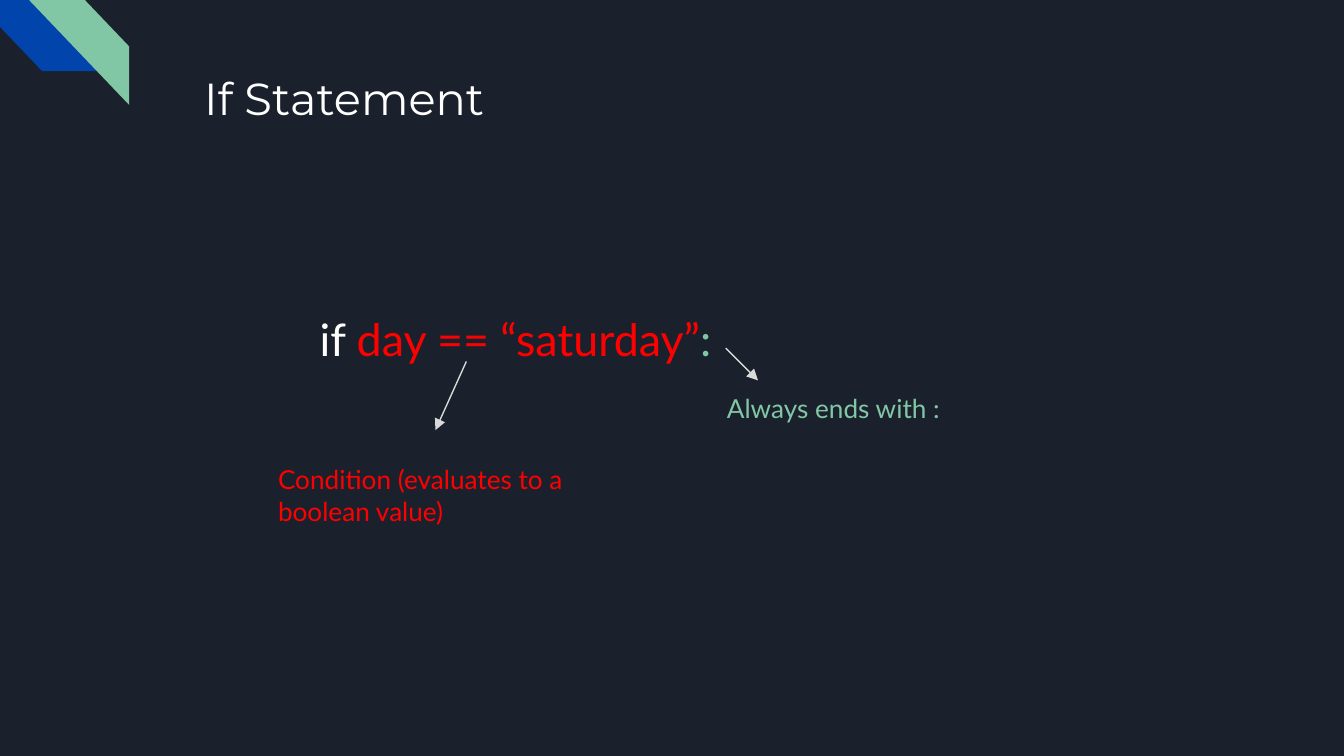
from lxml import etree
from pptx import Presentation
from pptx.dml.color import RGBColor
from pptx.enum import shapes, text
from pptx.oxml import ns
from pptx.util import Inches, Pt

NAVY = RGBColor(0x1B, 0x21, 0x2C)
BLUE = RGBColor(0x01, 0x45, 0xAC)
GREEN = RGBColor(0x82, 0xC7, 0xA5)
RED = RGBColor(0xFF, 0x00, 0x00)
WHITE = RGBColor(0xFF, 0xFF, 0xFF)
GRAY = RGBColor(0xD9, 0xD9, 0xD9)

presentation = Presentation()
presentation.slide_width = Inches(10)
presentation.slide_height = Inches(10 * 9 / 16)
slide = presentation.slides.add_slide(presentation.slide_layouts[6])
slide.background.fill.solid()
slide.background.fill.fore_color.rgb = NAVY

# Corner stripes
for left, top, rotation, color in [(-0.12, -0.32, 270, BLUE), (0.11, -0.07, 90, GREEN)]:
    stripe = slide.shapes.add_shape(
        shapes.MSO_SHAPE.DIAGONAL_STRIPE,
        Inches(left), Inches(top), Inches(0.87), Inches(0.83))
    stripe.rotation = rotation
    stripe.shadow.inherit = False
    stripe.fill.solid()
    stripe.fill.fore_color.rgb = color
    stripe.line.fill.background()

# Title, code line and notes: left, top, width, height, font, size, runs
text_boxes = [
    (1.42, 0.43, 7.7, 1, "Montserrat", 24, [("If Statement", WHITE)]),
    (2.28, 2.22, 3.62, 0.61, "Lato", 24,
     [("if ", WHITE), ("day == “saturday”", RED), (":", GREEN)]),
    (5.31, 2.82, 2.72, 0.44, "Lato", 14, [("Always ends with :", GREEN)]),
    (1.97, 3.35, 2.35, 0.67, "Lato", 14,
     [("Condition (evaluates to a boolean value)", RED)]),
]
for left, top, width, height, font_name, size, runs in text_boxes:
    box = slide.shapes.add_textbox(Inches(left), Inches(top), Inches(width), Inches(height))
    frame = box.text_frame
    frame.word_wrap = True
    frame.vertical_anchor = text.MSO_ANCHOR.TOP
    frame.margin_left = frame.margin_right = Inches(0.1)
    frame.margin_top = frame.margin_bottom = Inches(0.1)
    paragraph = frame.paragraphs[0]
    for words, color in runs:
        run = paragraph.add_run()
        run.text = words
        run.font.name = font_name
        run.font.size = Pt(size)
        run.font.color.rgb = color

# Arrows from the code line to its notes
for start_x, start_y, end_x, end_y in [(5.4, 2.59, 5.64, 2.83), (3.47, 2.69, 3.24, 3.2)]:
    arrow = slide.shapes.add_connector(
        shapes.MSO_CONNECTOR.STRAIGHT,
        Inches(start_x), Inches(start_y), Inches(end_x), Inches(end_y))
    arrow.line.color.rgb = GRAY
    arrow.line.width = Pt(0.75)
    properties = arrow.element.spPr
    etree.SubElement(properties.find(ns.qn("a:ln")), ns.qn("a:tailEnd"),
                     type="triangle", w="med", len="med")
    etree.SubElement(properties, ns.qn("a:effectLst"))

presentation.save("out.pptx")
